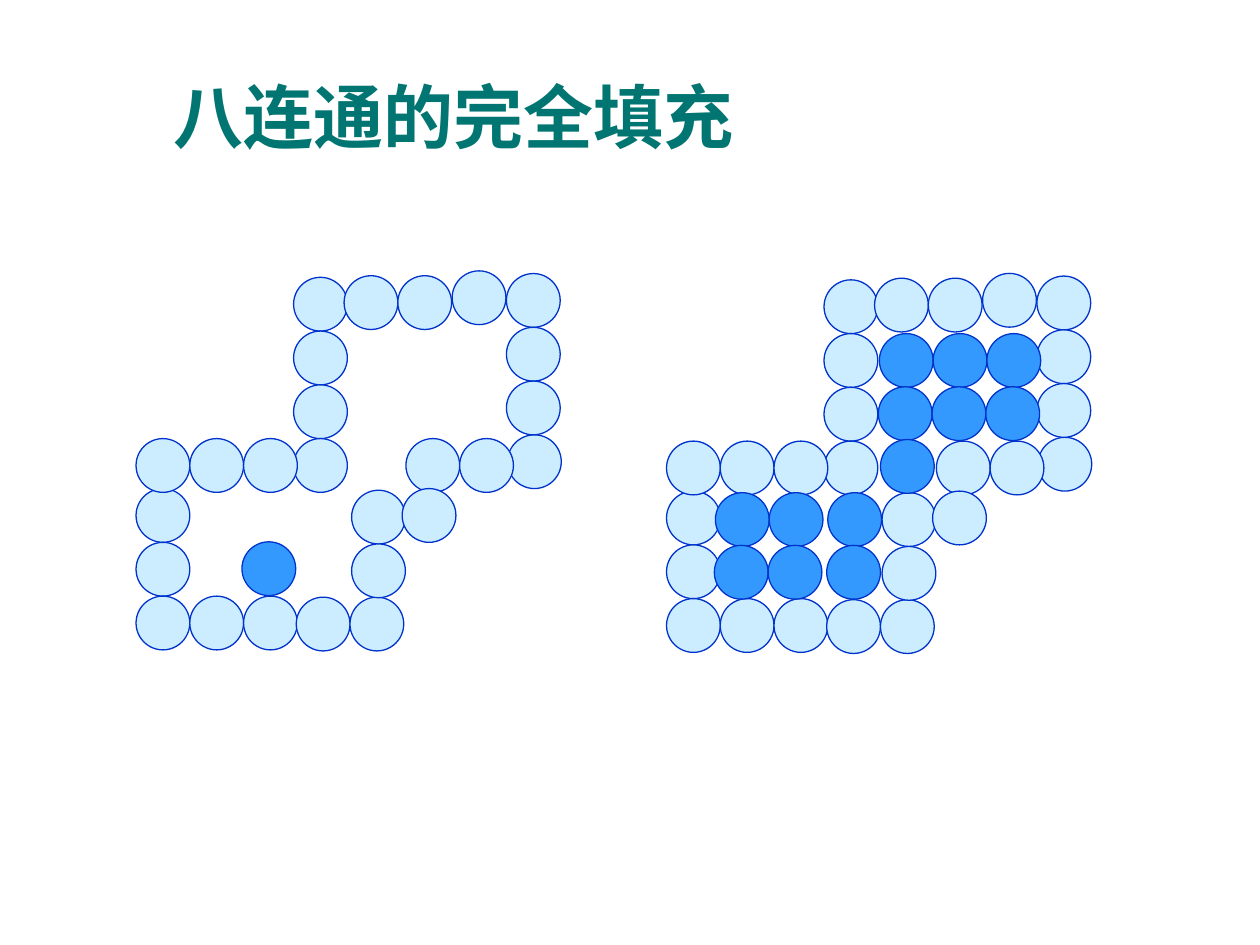
import pptx
import pptx.dml.color
import pptx.enum.shapes
import pptx.enum.text
import pptx.util

COLORS = {"title": "007572", "boundary": "CCECFF", "interior": "3399FF", "line": "0033CC"}
FONT = "Times New Roman"
PITCH = 1.28 / 3
LEFT_ORIGIN = (1.08, 2.15)
RIGHT_ORIGIN = (5.29, 2.17)
RIGHT, DOWN = (1, 0), (0, 1)

BOUNDARY_RUNS = [
    (0, 4.05, DOWN, 2),
    (2.93, 0.12, DOWN, 4),
    (0, 3.12, RIGHT, 3),
    (0, 6.05, RIGHT, 3),
    (2.98, 6.07, RIGHT, 2),
    (4.01, 4.08, DOWN, 2),
    (6.91, 3.05, RIGHT, 1),
    (5.02, 3.12, RIGHT, 2),
    (4.95, 4.05, RIGHT, 1),
    (6.89, 0.05, DOWN, 3),
    (5.88, 0, RIGHT, 1),
    (3.87, 0.09, RIGHT, 2),
]
SEED_RUNS = [(1.97, 5.04, RIGHT, 1)]
FILLED_RUNS = [
    (0.91, 4.08, RIGHT, 2),
    (3, 4.08, RIGHT, 1),
    (0.89, 5.06, RIGHT, 2),
    (2.98, 5.06, RIGHT, 1),
    (3.96, 1.12, RIGHT, 3),
    (3.94, 2.11, RIGHT, 3),
    (3.98, 3.09, RIGHT, 1),
]


def color(name):
    return pptx.dml.color.RGBColor.from_string(COLORS[name])


def grid_box(origin, column, row, columns=1, rows=1):
    left, top = origin
    lengths = (left + column * PITCH, top + row * PITCH, columns * PITCH, rows * PITCH)
    return [pptx.util.Inches(length) for length in lengths]


def add_title(slide, text):
    shape = slide.shapes.add_textbox(*grid_box(LEFT_ORIGIN, 0.47, -3.8, 19.26, 1.8))
    frame = shape.text_frame
    frame.word_wrap = True
    frame.auto_size = pptx.enum.text.MSO_AUTO_SIZE.SHAPE_TO_FIT_TEXT
    frame.vertical_anchor = pptx.enum.text.MSO_ANCHOR.MIDDLE
    run = frame.paragraphs[0].add_run()
    run.text = text
    run.font.name = FONT
    run.font.size = pptx.util.Pt(40)
    run.font.bold = True
    run.font.color.rgb = color("title")


def add_pixel(shapes, origin, column, row, fill):
    shape = shapes.add_shape(
        pptx.enum.shapes.MSO_SHAPE.OVAL, *grid_box(origin, column, row)
    )
    shape.shadow.inherit = False
    shape.fill.solid()
    shape.fill.fore_color.rgb = color(fill)
    shape.line.color.rgb = color("line")
    shape.line.width = pptx.util.Pt(0.75)


def add_runs(shapes, origin, runs, fill):
    for column, row, (across, down), count in runs:
        for step in range(count):
            add_pixel(shapes, origin, column + step * across, row + step * down, fill)


def main():
    presentation = pptx.Presentation()
    presentation.slide_width = pptx.util.Inches(10)
    presentation.slide_height = pptx.util.Inches(7.5)
    slide = presentation.slides.add_slide(presentation.slide_layouts[6])
    add_title(slide, "八连通的完全填充")
    seeded_region = slide.shapes.add_group_shape()
    add_runs(seeded_region.shapes, LEFT_ORIGIN, SEED_RUNS, "interior")
    add_runs(seeded_region.shapes, LEFT_ORIGIN, BOUNDARY_RUNS, "boundary")
    add_runs(slide.shapes, RIGHT_ORIGIN, BOUNDARY_RUNS, "boundary")
    add_runs(slide.shapes, RIGHT_ORIGIN, FILLED_RUNS, "interior")
    presentation.save("out.pptx")


if __name__ == "__main__":
    main()
